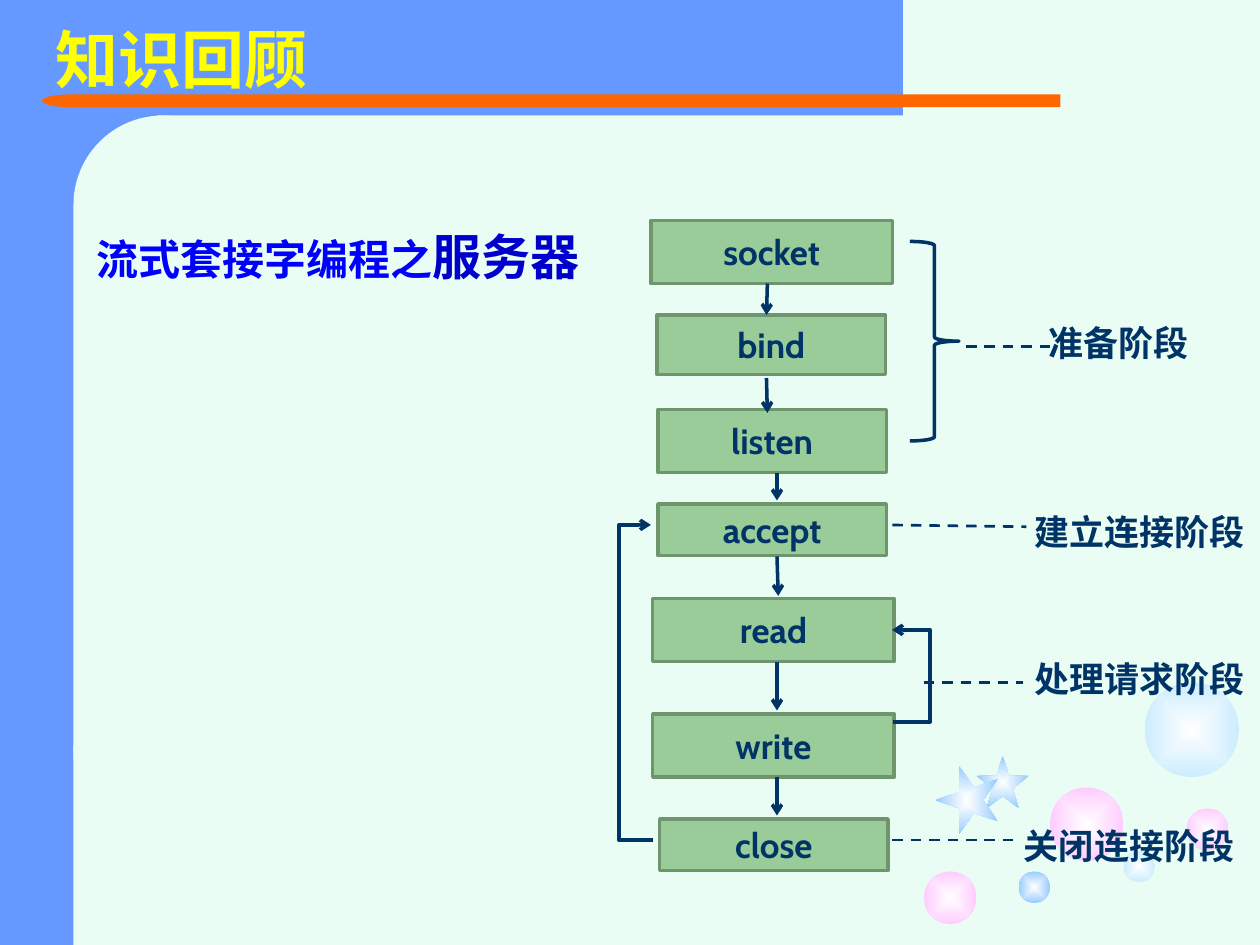
"""Build the server-side stream socket review slide."""
from dataclasses import dataclass
from typing import NamedTuple, Optional

from lxml import etree
from pptx import Presentation
from pptx import util as u
from pptx.dml.color import RGBColor
from pptx.enum import dml, shapes, text
from pptx.oxml import parse_xml
from pptx.oxml.ns import nsdecls, qn

Pt = u.Pt
Kind = shapes.MSO_SHAPE


@dataclass(frozen=True)
class Theme:
    mint: str = "E9FDF4"
    blue: str = "6699FF"
    orange: str = "FF6600"
    yellow: str = "FFFF00"
    topic: str = "0000FF"
    emphasis: str = "0000CC"
    step: str = "99CC99"
    step_edge: str = "6F956F"
    ink: str = "003366"
    pink: str = "FFCCFF"
    pale: str = "CCECFF"
    sky: str = "99CCFF"
    title_size: float = 36
    emphasis_size: float = 28
    topic_size: float = 24
    label_size: float = 20
    latin: str = "Arial"
    step_font: str = "Cabin"
    cjk: str = "Noto Sans CJK SC"


THEME = Theme()


class Box(NamedTuple):
    left: float
    top: float
    width: float
    height: float


class Panel(NamedTuple):
    kind: Kind
    box: Box
    color: str
    adjust: Optional[float] = None


class Ornament(NamedTuple):
    kind: Kind
    box: Box
    color: str
    rotation: float = 0


class Label(NamedTuple):
    words: str
    box: Box


class Link(NamedTuple):
    x1: float
    y1: float
    x2: float
    y2: float
    bend: Optional[float] = None


PANELS = (
    Panel(Kind.RECTANGLE, Box(0, 0, 90, 540), THEME.blue),
    Panel(Kind.RECTANGLE, Box(36, 0, 480, 66), THEME.blue),
    Panel(Kind.ROUNDED_RECTANGLE, Box(42, 66, 102, 414), THEME.mint, 0.5),
    Panel(Kind.ROUNDED_RECTANGLE, Box(54, 54, 552, 7.2), THEME.orange, 0),
    Panel(Kind.FLOWCHART_DELAY, Box(24, 54, 30.8, 7.2), THEME.orange),
    Panel(Kind.RECTANGLE, Box(42, 426, 102, 114), THEME.mint),
)
ORNAMENTS = (
    Ornament(Kind.OVAL, Box(600, 450, 42, 42), THEME.pink),
    Ornament(Kind.OVAL, Box(528, 498, 30, 30), THEME.pink),
    Ornament(Kind.OVAL, Box(642, 486, 18, 18), THEME.pale),
    Ornament(Kind.OVAL, Box(678, 462, 24, 24), THEME.pink),
    Ornament(Kind.OVAL, Box(654, 390, 54, 54), THEME.pale),
    Ornament(Kind.OVAL, Box(582, 498, 18, 18), THEME.sky),
    Ornament(Kind.STAR_5_POINT, Box(558, 432, 30, 30), THEME.sky),
    Ornament(Kind.STAR_5_POINT, Box(532.8, 439.2, 39, 36), THEME.sky, 270),
)
STEPS = (
    Label("socket", Box(372, 126, 138, 36)),
    Label("bind", Box(375.5, 180, 130.5, 34)),
    Label("listen", Box(376, 234, 130.5, 36)),
    Label("accept", Box(376, 288, 130.5, 29.5)),
    Label("read", Box(373, 342, 138, 36)),
    Label("write", Box(373, 408, 138, 36)),
    Label("close", Box(377, 468, 130.5, 29.5)),
)
STAGES = (
    Label("准备阶段", Box(592, 180, 124.5, 31.5)),
    Label("建立连接阶段", Box(584, 288, 164, 31.5)),
    Label("处理请求阶段", Box(584, 372, 175.5, 31.5)),
    Label("关闭连接阶段", Box(578, 467.5, 170, 31.5)),
)
ARROWS = (
    Link(438.5, 162, 438, 180),
    Link(438, 216, 438.5, 236),
    Link(444, 270, 444, 286),
    Link(444, 318, 444.75, 340.5),
    Link(444, 378, 444, 406),
    Link(444, 444, 444, 466),
    Link(510.5, 412.5, 509.75, 360, bend=532),
    Link(373, 480, 372, 300, bend=353.5),
)
LEADERS = (
    Link(552, 198, 600, 198),
    Link(510, 300, 586.5, 301),
    Link(528, 390, 584.5, 390),
    Link(510, 480, 579.5, 480),
)


def rgb(color: str) -> RGBColor:
    return RGBColor.from_string(color)


def apply(target, values: dict) -> None:
    for name, value in values.items():
        setattr(target, name, value)


def place(shape, box: Box) -> None:
    apply(shape, {name: Pt(value) for name, value in box._asdict().items()})


def write(paragraph, words: str, size: float, color: str, face: str) -> None:
    run = paragraph.add_run()
    run.text = words
    apply(run.font, {"size": Pt(size), "bold": True, "name": face})
    run.font.color.rgb = rgb(color)
    east = etree.SubElement(run.font._element, qn("a:ea"))
    east.set("typeface", THEME.cjk)


def add_form(slide, kind: Kind, box: Box, color: Optional[str] = None):
    form = slide.shapes.add_shape(kind, *map(Pt, box))
    form.shadow.inherit = False
    form.line.fill.background()
    if color:
        form.fill.solid()
        form.fill.fore_color.rgb = rgb(color)
    else:
        form.fill.background()
    return form


def stroke(line, color: str, width: float) -> None:
    line.color.rgb = rgb(color)
    line.width = Pt(width)


def add_panel(slide, panel: Panel) -> None:
    form = add_form(slide, panel.kind, panel.box, panel.color)
    if panel.adjust is not None:
        form.adjustments[0] = panel.adjust
    if panel.kind == Kind.FLOWCHART_DELAY:
        form.element.spPr.find(qn("a:xfrm")).set("flipH", "1")


def add_ornament(slide, ornament: Ornament) -> None:
    form = add_form(slide, ornament.kind, ornament.box)
    form.rotation = ornament.rotation
    form.fill.gradient()
    for stop, color in zip(form.fill.gradient_stops, ("FFFFFF", ornament.color)):
        stop.color.rgb = rgb(color)
    gradient = form.element.spPr.find(qn("a:gradFill"))
    gradient.replace(gradient.find(qn("a:lin")), parse_xml(
        f'<a:path {nsdecls("a")} path="rect">'
        '<a:fillToRect l="50000" t="50000" r="50000" b="50000"/></a:path>'))


def add_step(slide, step: Label) -> None:
    form = add_form(slide, Kind.RECTANGLE, step.box, THEME.step)
    stroke(form.line, THEME.step_edge, 2)
    form.text_frame.vertical_anchor = text.MSO_ANCHOR.MIDDLE
    paragraph = form.text_frame.paragraphs[0]
    paragraph.alignment = text.PP_ALIGN.CENTER
    write(paragraph, step.words, THEME.label_size, THEME.ink, THEME.step_font)


def add_stage(slide, stage: Label) -> None:
    frame = slide.shapes.add_textbox(*map(Pt, stage.box)).text_frame
    frame.word_wrap = True
    write(frame.paragraphs[0], stage.words, THEME.label_size, THEME.ink, THEME.latin)


def add_link(slide, link: Link, leader: bool = False) -> None:
    kind = shapes.MSO_CONNECTOR.STRAIGHT if link.bend is None else shapes.MSO_CONNECTOR.ELBOW
    wire = slide.shapes.add_connector(kind, *map(Pt, link[:4]))
    stroke(wire.line, THEME.ink, 1.5 if leader else 2)
    if leader:
        wire.line.dash_style = dml.MSO_LINE.DASH
    else:
        etree.SubElement(wire.line._get_or_add_ln(), qn("a:tailEnd")).set("type", "arrow")
    properties = wire.element.spPr
    etree.SubElement(properties, qn("a:effectLst"))
    if link.bend is not None:
        ratio = (link.bend - link.x1) / (link.x2 - link.x1)
        guides = properties.find(qn("a:prstGeom")).get_or_add_avLst()
        guide = etree.SubElement(guides, qn("a:gd"))
        guide.set("name", "adj1")
        guide.set("fmla", f"val {round(ratio * 100000)}")


def fill_placeholder(slide, holder, box: Box, anchor, runs: tuple):
    slide.shapes.element.append(holder.element)
    place(holder, box)
    apply(holder.text_frame, {"vertical_anchor": anchor, "word_wrap": True,
                              "auto_size": text.MSO_AUTO_SIZE.NONE})
    paragraph = holder.text_frame.paragraphs[0]
    properties = paragraph._p.get_or_add_pPr()
    apply(paragraph, {"alignment": text.PP_ALIGN.LEFT, "space_before": Pt(0)})
    etree.SubElement(properties, qn("a:buNone"))
    for run in runs:
        write(paragraph, *run)
    return paragraph


def main() -> None:
    deck = Presentation()
    apply(deck, {"slide_width": Pt(720), "slide_height": Pt(540)})
    slide = deck.slides.add_slide(deck.slide_layouts[1])
    slide.background.fill.solid()
    slide.background.fill.fore_color.rgb = rgb(THEME.mint)
    for panel in PANELS:
        add_panel(slide, panel)
    for ornament in ORNAMENTS:
        add_ornament(slide, ornament)
    heading = fill_placeholder(
        slide, slide.shapes.title, Box(24.5, 9.5, 648, 53), text.MSO_ANCHOR.MIDDLE,
        (("知识回顾", THEME.title_size, THEME.yellow, THEME.latin),))
    heading.line_spacing = 0.9
    topic = fill_placeholder(
        slide, slide.placeholders[1], Box(48, 126, 648, 369), text.MSO_ANCHOR.TOP,
        (("流式套接字编程之", THEME.topic_size, THEME.topic, THEME.cjk),
         ("服务器", THEME.emphasis_size, THEME.emphasis, THEME.cjk)))
    apply_indent = {"marL": Pt(27), "indent": -Pt(27)}
    for name, value in apply_indent.items():
        topic._p.pPr.set(name, str(int(value)))
    for step in STEPS:
        add_step(slide, step)
    for stage in STAGES:
        add_stage(slide, stage)
    for arrow in ARROWS:
        add_link(slide, arrow)
    for leader in LEADERS:
        add_link(slide, leader, leader=True)
    brace = add_form(slide, Kind.RIGHT_BRACE, Box(520, 138, 28, 114))
    stroke(brace.line, THEME.ink, 2)
    deck.save("out.pptx")


if __name__ == "__main__":
    main()
